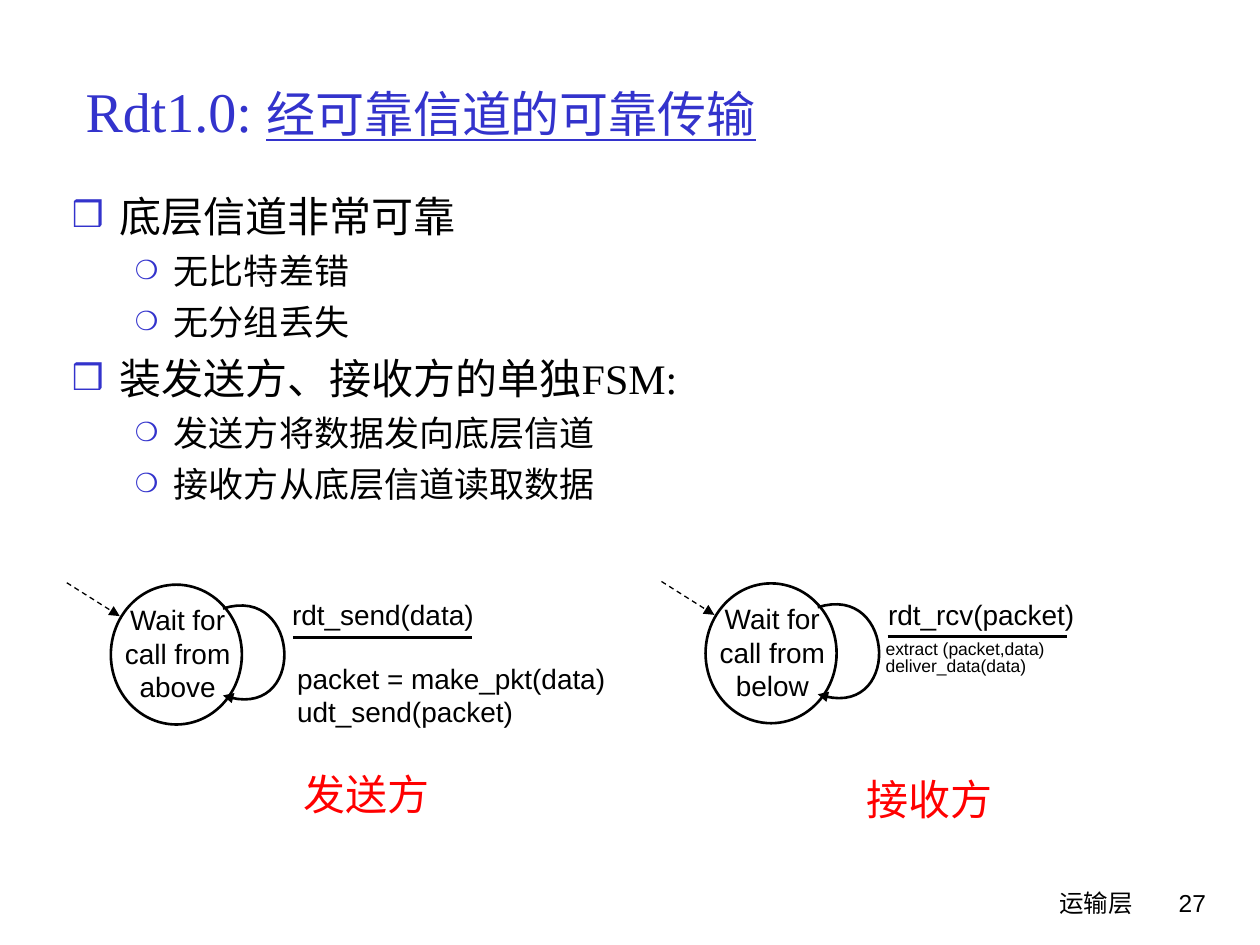
from lxml.etree import SubElement
from pptx import Presentation
from pptx.dml.color import RGBColor as Rgb
from pptx.enum.dml import MSO_LINE as Dash
from pptx.enum.shapes import MSO_CONNECTOR as Link, MSO_SHAPE as Kind
from pptx.enum.text import MSO_ANCHOR as Anchor, MSO_AUTO_SIZE as Fit, PP_ALIGN as Align
from pptx.oxml.ns import qn
from pptx.util import Inches, Pt

HUES = {"ink": "000000", "blue": "3333CC", "red": "FF0000", "paper": "FFFFFF"}
SERIF, SANS, COMIC = "Times New Roman", "Arial", "Comic Neue"
COLS, ROWS = 100, 75
CELL = Inches(10) // COLS

TITLE = [("Rdt1.0: ", 32, False), ("经可靠信道的可靠传输", 28, True)]
BODY = [
    (0, "底层信道非常可靠"),
    (1, "无比特差错"),
    (1, "无分组丢失"),
    (0, "装发送方、接收方的单独FSM:"),
    (1, "发送方将数据发向底层信道"),
    (1, "接收方从底层信道读取数据"),
]
LEVELS = [
    {"size": 24, "left": 0.38, "hang": 0.38, "gap": 6, "mark": "❒", "share": 85},
    {"size": 20, "left": 0.81, "hang": 0.31, "gap": 5, "mark": "❍", "share": 75},
]
FSMS = [
    {"at": (8.8, 46.4), "state": "Wait for call from above",
     "event": "rdt_send(data)", "shift": (13.4, 0.5),
     "acts": ["packet = make_pkt(data)", "udt_send(packet)"],
     "box": (13.8, 5.6, 29.3, 6.5), "size": 16, "lead": 1,
     "bar": 4.2, "role": "发送方", "spot": (14.3, 14.1)},
    {"at": (56, 46.3), "state": "Wait for call from below",
     "event": "rdt_rcv(packet)", "shift": (13.5, 0.6),
     "acts": ["extract (packet,data)", "deliver_data(data)"],
     "box": (13.3, 4.2, 27.2, 4.7), "size": 10, "lead": 0.8,
     "bar": 4.2, "role": "接收方", "spot": (11.8, 14.6)},
]
LOOP = [(8.9, 1.9), (15.2, -0.1), (15.6, 11.1), (8.9, 8.8)]
STEPS = 32


def cells(*nums):
    return [round(n * CELL) for n in nums]


def hue(name):
    return Rgb.from_string(HUES[name])


def style(font, size, face, ink="ink"):
    font.size, font.name = Pt(size), face
    font.color.rgb = hue(ink)


def label(slide, box, lines, size, face=SANS, ink="ink", align=Align.LEFT, lead=1, wrap=True):
    frame = slide.shapes.add_textbox(*cells(*box)).text_frame
    frame.word_wrap = wrap
    frame.text = "\n".join(lines)
    for par in frame.paragraphs:
        par.alignment, par.line_spacing = align, lead
        style(par.font, size, face, ink)


def stroke(shape, width=1.5, arrow=False, dash=False):
    line = shape.line
    line.color.rgb, line.width = hue("ink"), Pt(width)
    if dash:
        line.dash_style = Dash.DASH
    if arrow:
        SubElement(line._get_or_add_ln(), qn("a:tailEnd"), type="triangle")


def link(slide, ends, **look):
    wire = slide.shapes.add_connector(Link.STRAIGHT, *cells(*ends))
    stroke(wire, **look)
    SubElement(wire._element.spPr, qn("a:effectLst"))


def curve(t):
    parts = [(1 - t) ** 3, 3 * t * (1 - t) ** 2, 3 * t * t * (1 - t), t ** 3]
    return [sum(p * pt[axis] for p, pt in zip(parts, LOOP)) for axis in (0, 1)]


def bullet(par, level):
    props = par._p.get_or_add_pPr()
    props.set("marL", str(Inches(level["left"])))
    props.set("indent", str(-Inches(level["hang"])))
    tint = SubElement(props, qn("a:buClr"))
    SubElement(tint, qn("a:srgbClr"), val=HUES["blue"])
    SubElement(props, qn("a:buSzPct"), val=str(level["share"] * 1000))
    SubElement(props, qn("a:buChar"), char=level["mark"])


def place(holder, box):
    holder.left, holder.top, holder.width, holder.height = cells(*box)
    holder.text_frame.auto_size = Fit.NONE
    return holder.text_frame


def write_title(slide):
    frame = place(slide.shapes.title, (5.8, 2.5, 87.5, 12.5))
    frame.vertical_anchor = Anchor.MIDDLE
    par = frame.paragraphs[0]
    par.alignment = Align.LEFT
    for text, size, under in TITLE:
        run = par.add_run()
        run.text = text
        style(run.font, size, SERIF, "blue")
        run.font.underline = under


def write_body(slide):
    frame = place(slide.placeholders[1], (4.7, 14.6, 86.4, 33))
    frame.text = "\n".join(text for _, text in BODY)
    for i, (par, (depth, _)) in enumerate(zip(frame.paragraphs, BODY)):
        level = LEVELS[depth]
        par.level = depth
        bullet(par, level)
        par.space_before = Pt(level["gap"] if i else 0)
        style(par.font, level["size"], SERIF)


def draw_fsm(slide, fsm):
    x, y = fsm["at"]

    def off(dx, dy, *size):
        return (x + dx, y + dy, *size)

    disc = slide.shapes.add_shape(Kind.OVAL, *cells(*off(0, 0, 10.4, 11.1)))
    disc.shadow.inherit = False
    disc.fill.solid()
    disc.fill.fore_color.rgb = hue("paper")
    stroke(disc)
    label(slide, off(-0.7, 0.95, 12, 10), [fsm["state"]], 16, align=Align.CENTER)

    dots = [cells(*off(*curve(i / STEPS))) for i in range(STEPS + 1)]
    pen = slide.shapes.build_freeform(*dots[0])
    pen.add_line_segments(dots[1:], close=False)
    loop = pen.convert_to_shape()
    loop.shadow.inherit = False
    loop.fill.background()
    stroke(loop, arrow=True)

    link(slide, off(-3.5, -0.15) + off(0.7, 2.5), width=0.75, arrow=True, dash=True)
    link(slide, off(14.45, fsm["bar"]) + off(28.65, fsm["bar"]))
    label(slide, off(*fsm["shift"], 24.7, 3.7), [fsm["event"]], 16)
    label(slide, off(*fsm["box"]), fsm["acts"], fsm["size"], lead=fsm["lead"])
    label(slide, off(*fsm["spot"], 12, 5), [fsm["role"]], 24, COMIC, "red",
          Align.CENTER, wrap=False)


def main():
    deck = Presentation()
    deck.slide_width, deck.slide_height = cells(COLS, ROWS)
    slide = deck.slides.add_slide(deck.slide_layouts[1])
    write_title(slide)
    write_body(slide)
    for fsm in FSMS:
        draw_fsm(slide, fsm)
    label(slide, (59.2, 70, 31.7, 5), ["运输层"], 14, COMIC, align=Align.RIGHT)
    label(slide, (89.3, 70, 7.4, 5), ["27"], 14, align=Align.RIGHT)
    deck.save("out.pptx")


if __name__ == "__main__":
    main()
